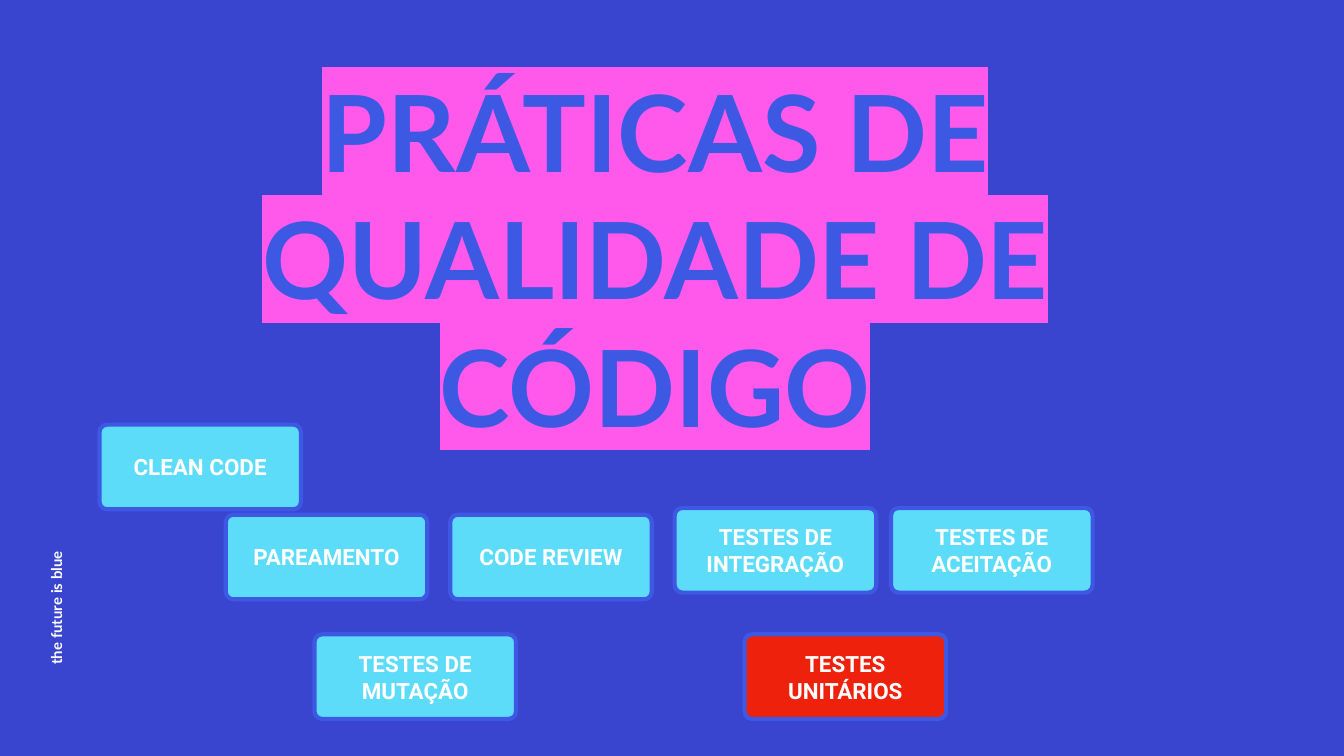
import pptx
import pptx.dml.color
import pptx.enum.shapes
import pptx.enum.text
import pptx.oxml
import pptx.oxml.ns
import pptx.util

Inches = pptx.util.Inches
Pt = pptx.util.Pt
ALIGN = pptx.enum.text.PP_ALIGN
ANCHOR = pptx.enum.text.MSO_ANCHOR

COLORS = {
    "background": "3945CE",
    "blue": "3D58E3",
    "pink": "FF59EB",
    "cyan": "5DDCF9",
    "red": "EE220C",
    "white": "FFFFFF",
}
CARD_W, CARD_H = 1.5, 0.63
CARDS = [
    ("CLEAN CODE", 0.74, 3.16, "cyan"),
    ("TESTES DE INTEGRAÇÃO", 5.02, 3.78, "cyan"),
    ("TESTES DE ACEITAÇÃO", 6.63, 3.78, "cyan"),
    ("PAREAMENTO", 1.68, 3.83, "cyan"),
    ("CODE REVIEW", 3.35, 3.83, "cyan"),
    ("TESTES DE MUTAÇÃO", 2.34, 4.72, "cyan"),
    ("TESTES UNITÁRIOS", 5.54, 4.72, "red"),
]


def rgb(name):
    return pptx.dml.color.RGBColor.from_string(COLORS[name])


def write(sp, text, font, size, color, align, anchor, inset):
    """Fill a shape with one bold paragraph and return the paragraph."""
    tf = sp.text_frame
    tf.word_wrap = True
    tf.vertical_anchor = anchor
    tf.margin_left = tf.margin_right = Inches(inset)
    tf.margin_top = tf.margin_bottom = Inches(inset)
    p = tf.paragraphs[0]
    p.text = text
    p.alignment = align
    p.font.name = font
    p.font.size = Pt(size)
    p.font.bold = True
    p.font.color.rgb = rgb(color)
    return p


def highlight(r, color):
    r._r.get_or_add_rPr().append(pptx.oxml.parse_xml(
        f'<a:highlight {pptx.oxml.ns.nsdecls("a")}>'
        f'<a:srgbClr val="{COLORS[color]}"/></a:highlight>'))


def add_tagline(slide, x, y, w, h):
    sp = slide.shapes.add_textbox(Inches(x), Inches(y), Inches(w), Inches(h))
    sp.rotation = 270
    p = write(sp, "the future is blue", "Lato", 8, "white",
              ALIGN.LEFT, ANCHOR.MIDDLE, 0.02)
    p.line_spacing = 0.7


def add_title(slide, x, y, w, h):
    sp = slide.shapes.add_textbox(Inches(x), Inches(y), Inches(w), Inches(h))
    p = write(sp, "PRÁTICAS DE QUALIDADE DE CÓDIGO", "Lato", 57, "blue",
              ALIGN.CENTER, ANCHOR.TOP, 0.1)
    highlight(p.runs[0], "pink")


def add_card(slide, text, x, y, fill):
    sp = slide.shapes.add_shape(
        pptx.enum.shapes.MSO_SHAPE.ROUNDED_RECTANGLE,
        Inches(x), Inches(y), Inches(CARD_W), Inches(CARD_H))
    sp.adjustments[0] = 0.09
    sp.shadow.inherit = False
    sp.fill.solid()
    sp.fill.fore_color.rgb = rgb(fill)
    sp.line.color.rgb = rgb("blue")
    sp.line.width = Pt(2.25)
    write(sp, text, "Roboto", 12, "white", ALIGN.CENTER, ANCHOR.MIDDLE, 0.02)


def main():
    prs = pptx.Presentation()
    prs.slide_width = Inches(10)
    prs.slide_height = prs.slide_width * 9 // 16
    slide = prs.slides.add_slide(prs.slide_layouts[6])
    slide.background.fill.solid()
    slide.background.fill.fore_color.rgb = rgb("background")
    add_tagline(slide, -0.1, 4.34, 1.07, 0.18)
    add_title(slide, 0.96, 0.39, 7.83, 3.08)
    for text, x, y, fill in CARDS:
        add_card(slide, text, x, y, fill)
    prs.save("out.pptx")


if __name__ == "__main__":
    main()
